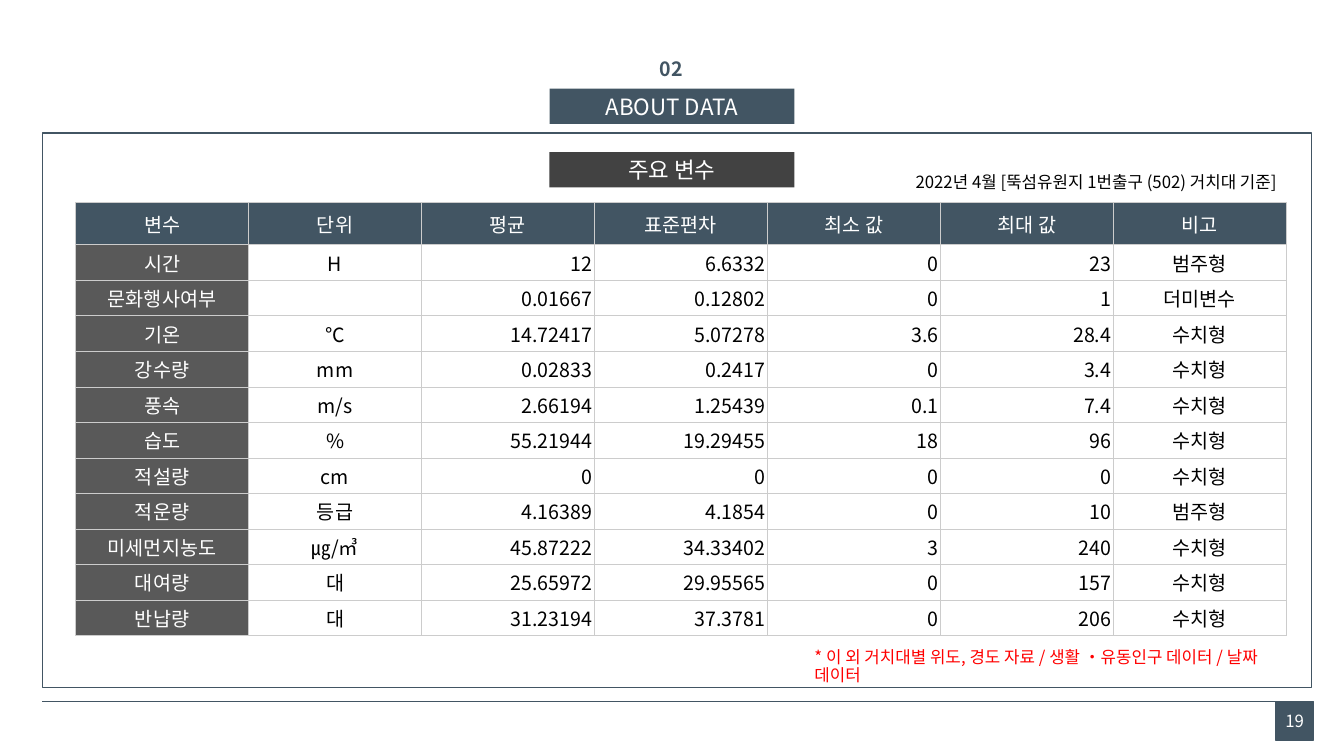
"""Build the slide that lists the main variables of the data set."""
from lxml.etree import SubElement
from pptx import Presentation
from pptx.dml.color import RGBColor
from pptx.enum.shapes import MSO_CONNECTOR, MSO_SHAPE
from pptx.enum.text import MSO_ANCHOR, MSO_AUTO_SIZE, PP_ALIGN
from pptx.oxml import parse_xml
from pptx.oxml.ns import nsdecls, qn
from pptx.util import Inches, Pt

FONT = "Noto Sans CJK KR"
COLORS = {"slate": "425563", "charcoal": "424242", "gray": "595959", "grid": "CCCCCC",
          "white": "FFFFFF", "black": "000000", "red": "FF0000"}
LEFT, CENTER, RIGHT = PP_ALIGN.LEFT, PP_ALIGN.CENTER, PP_ALIGN.RIGHT
TABLE_BOX = (0.75, 2.01, 12.01, 4.3)
HEADER_HEIGHT = 0.42
COLUMN_ALIGNMENTS = (CENTER, CENTER, RIGHT, RIGHT, RIGHT, RIGHT, CENTER)
VARIABLES = [
    ("변수", "단위", "평균", "표준편차", "최소 값", "최대 값", "비고"),
    ("시간", "H", "12", "6.6332", "0", "23", "범주형"),
    ("문화행사여부", "", "0.01667", "0.12802", "0", "1", "더미변수"),
    ("기온", "℃", "14.72417", "5.07278", "3.6", "28.4", "수치형"),
    ("강수량", "mm", "0.02833", "0.2417", "0", "3.4", "수치형"),
    ("풍속", "m/s", "2.66194", "1.25439", "0.1", "7.4", "수치형"),
    ("습도", "%", "55.21944", "19.29455", "18", "96", "수치형"),
    ("적설량", "cm", "0", "0", "0", "0", "수치형"),
    ("적운량", "등급", "4.16389", "4.1854", "0", "10", "범주형"),
    ("미세먼지농도", "㎍/㎥", "45.87222", "34.33402", "3", "240", "수치형"),
    ("대여량", "대", "25.65972", "29.95565", "0", "157", "수치형"),
    ("반납량", "대", "31.23194", "37.3781", "0", "206", "수치형"),
]


def color(name):
    """Return the named colour."""
    return RGBColor.from_string(COLORS[name])


def set_attributes(target, values):
    """Set each attribute of the target from a dict."""
    for name, value in values.items():
        setattr(target, name, value)


def set_margins(target, inches):
    """Give a text frame or cell the same margin on all sides."""
    for side in ("left", "right", "top", "bottom"):
        setattr(target, f"margin_{side}", Inches(inches))


def write_text(text_frame, text, size, color_name, alignment, bold=False, line_spacing=1.0):
    """Write one formatted paragraph, with the font for Latin and Korean letters."""
    paragraph = text_frame.paragraphs[0]
    set_attributes(paragraph, {"alignment": alignment, "line_spacing": line_spacing,
                               "space_before": Pt(0)})
    run = paragraph.add_run()
    run.text = text
    set_attributes(run.font, {"name": FONT, "size": Pt(size), "bold": bold})
    run.font.color.rgb = color(color_name)
    SubElement(run.font._element, qn("a:ea"), typeface=FONT)


def fill_label(shape, text, size, fill):
    """Fill a shape and centre white text on one line in it."""
    shape.fill.solid()
    shape.fill.fore_color.rgb = color(fill)
    set_margins(shape.text_frame, 0)
    set_attributes(shape.text_frame, {"vertical_anchor": MSO_ANCHOR.MIDDLE, "word_wrap": True,
                                      "auto_size": MSO_AUTO_SIZE.NONE})
    write_text(shape.text_frame, text, size, "white", CENTER)


def add_title(slide, text, box):
    """Move the title placeholder to its box and format it."""
    title = slide.shapes.title
    set_attributes(title, dict(zip(("left", "top", "width", "height"), map(Inches, box))))
    fill_label(title, text, 16, "slate")


def add_rectangle(slide, box, line=None):
    """Add an unfilled rectangle, outlined if a line colour is given."""
    shape = slide.shapes.add_shape(MSO_SHAPE.RECTANGLE, *map(Inches, box))
    shape.shadow.inherit = False
    shape.fill.background()
    if line:
        shape.line.color.rgb = color(line)
        shape.line.width = Pt(1)
    else:
        shape.line.fill.background()
    return shape


def add_text(slide, box, text, size, color_name, alignment, **options):
    """Add a wrapping text box that grows with its text."""
    text_frame = slide.shapes.add_textbox(*map(Inches, box)).text_frame
    set_attributes(text_frame, {"word_wrap": True, "auto_size": MSO_AUTO_SIZE.SHAPE_TO_FIT_TEXT})
    write_text(text_frame, text, size, color_name, alignment, **options)


def add_rule(slide, start, end):
    """Add a thin straight line."""
    rule = slide.shapes.add_connector(MSO_CONNECTOR.STRAIGHT, *map(Inches, start + end))
    rule.line.color.rgb = color("slate")
    rule.line.width = Pt(0.5)
    SubElement(rule._element.spPr, qn("a:effectLst"))


def add_borders(cell):
    """Draw grid lines on the four sides of a cell."""
    properties = cell._tc.get_or_add_tcPr()
    for index, side in enumerate(("lnL", "lnR", "lnT", "lnB")):
        properties.insert(index, parse_xml(
            f'<a:{side} {nsdecls("a")} w="{Pt(0.75)}"><a:solidFill>'
            f'<a:srgbClr val="{COLORS["grid"]}"/></a:solidFill></a:{side}>'))


def format_cell(cell, text, fill, alignment):
    """Fill, border and write one table cell."""
    set_margins(cell, 0.02)
    cell.vertical_anchor = MSO_ANCHOR.MIDDLE
    if fill:
        cell.fill.solid()
        cell.fill.fore_color.rgb = color(fill)
    else:
        cell.fill.background()
    add_borders(cell)
    write_text(cell.text_frame, text, 14, "white" if fill else "black", alignment)


def add_variable_table(slide):
    """Add the table of variables with a header row and a label column."""
    row_count, column_count = len(VARIABLES), len(VARIABLES[0])
    table = slide.shapes.add_table(row_count, column_count, *map(Inches, TABLE_BOX)).table
    set_attributes(table, {"first_row": False, "horz_banding": False})
    for column in table.columns:
        column.width = Inches(TABLE_BOX[2] / column_count)
    body_height = (TABLE_BOX[3] - HEADER_HEIGHT) / (row_count - 1)
    for row_index, values in enumerate(VARIABLES):
        table.rows[row_index].height = Inches(body_height if row_index else HEADER_HEIGHT)
        for column_index, text in enumerate(values):
            fill = "slate" if row_index == 0 else "gray" if column_index == 0 else None
            alignment = COLUMN_ALIGNMENTS[column_index] if row_index else CENTER
            format_cell(table.cell(row_index, column_index), text, fill, alignment)


def main():
    """Build and save the presentation."""
    presentation = Presentation()
    set_attributes(presentation, {"slide_width": Inches(13.33), "slide_height": Inches(7.5)})
    slide = presentation.slides.add_slide(presentation.slide_layouts[5])
    add_rule(slide, (13.01, 6.96), (0.42, 6.96))
    add_rectangle(slide, (0.42, 1.32, 12.59, 5.5), "slate")
    add_title(slide, "ABOUT DATA", (5.45, 0.88, 2.43, 0.35))
    add_text(slide, (5.23, 0.52, 2.86, 0.34), "02", 14, "slate", CENTER, bold=True)
    add_variable_table(slide)
    fill_label(add_rectangle(slide, (5.45, 1.51, 2.43, 0.35)), "주요 변수", 16, "charcoal")
    add_text(slide, (7.98, 6.39, 5.03, 0.28),
             "* 이 외 거치대별 위도, 경도 자료 / 생활 •유동인구 데이터 / 날짜 데이터",
             12, "red", LEFT, line_spacing=0.9)
    add_text(slide, (7.88, 1.68, 4.88, 0.28),
             "2022년 4월 [뚝섬유원지 1번출구 (502) 거치대 기준]",
             12, "black", RIGHT, line_spacing=0.9)
    fill_label(add_rectangle(slide, (12.65, 6.96, 0.38, 0.38), "slate"), "19", 12, "slate")
    presentation.save("out.pptx")


if __name__ == "__main__":
    main()
